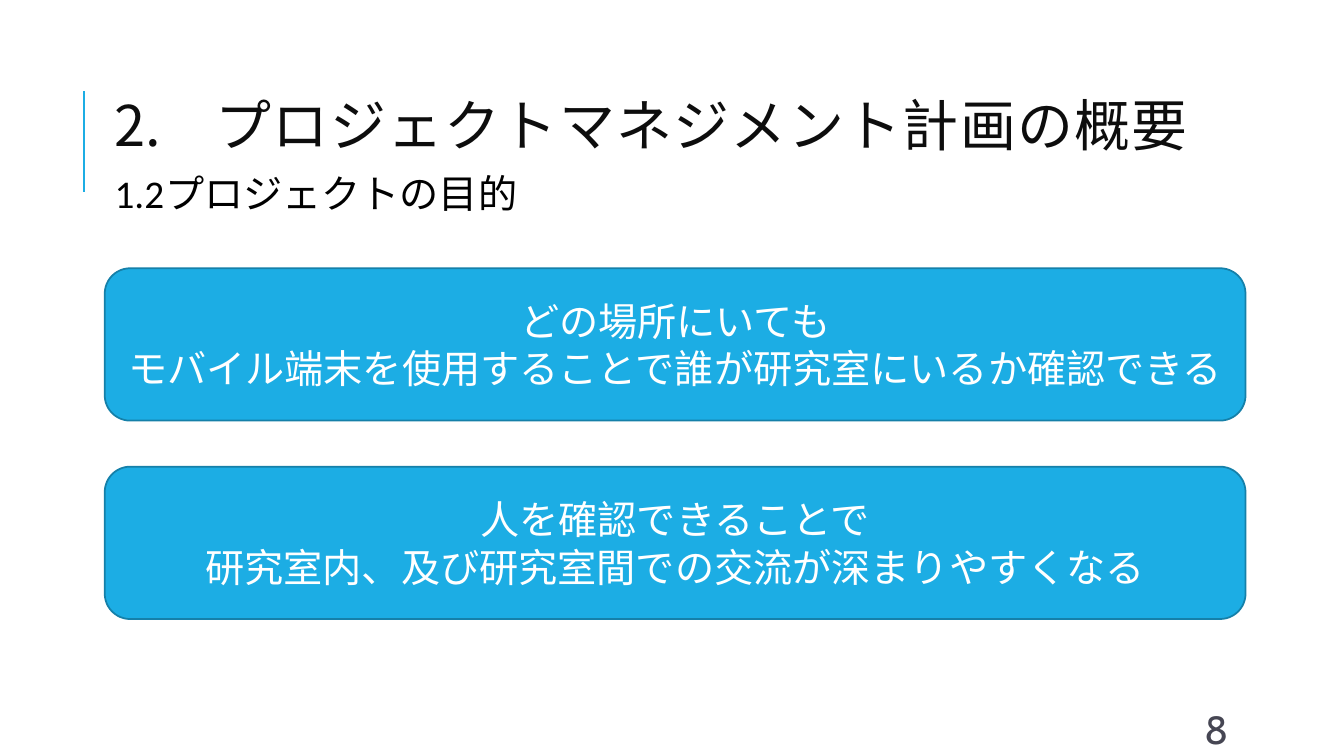
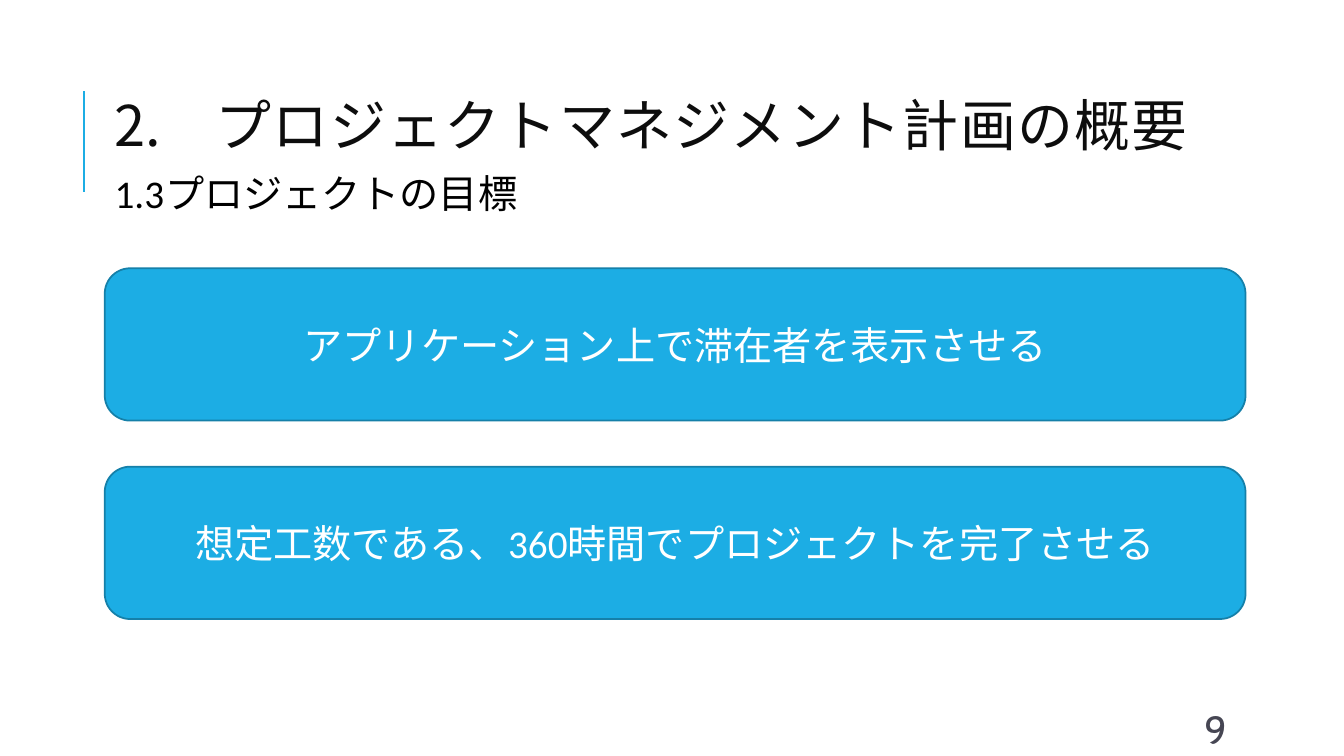
from lxml import etree
from pptx import Presentation
from pptx.dml.color import RGBColor
from pptx.enum.shapes import MSO_CONNECTOR, MSO_SHAPE
from pptx.enum.text import MSO_ANCHOR, MSO_AUTO_SIZE, PP_ALIGN
from pptx.oxml.ns import qn
from pptx.util import Cm, Pt

STRAIGHT = MSO_CONNECTOR.STRAIGHT
ROUNDED = MSO_SHAPE.ROUNDED_RECTANGLE
MIDDLE, TOP = MSO_ANCHOR.MIDDLE, MSO_ANCHOR.TOP
LEFT, CENTER = PP_ALIGN.LEFT, PP_ALIGN.CENTER
NO_AUTOFIT = MSO_AUTO_SIZE.NONE

ACCENT = RGBColor(0x1C, 0xAD, 0xE4)
ACCENT_DARK = RGBColor(0x15, 0x80, 0xA9)
TITLE_INK = RGBColor(0x0D, 0x0D, 0x0D)
NUMBER_INK = RGBColor(0x46, 0x46, 0x53)
BLACK = RGBColor(0, 0, 0)
WHITE = RGBColor(0xFF, 0xFF, 0xFF)

HEADING_FONT, BODY_FONT = "Cabin", "Calibri"
TITLE_SIZE, BODY_SIZE = Pt(40), Pt(28)

MARGIN = Cm(2.64)
TITLE_INDENT = Cm(2.54)
CARD_TOP, CARD_PITCH = Cm(6.76), Cm(5)
CARD_WIDTH, CARD_HEIGHT = Cm(28.75), Cm(3.84)

TITLE = "プロジェクトマネジメント計画の概要"
TITLE_NUMBER = 2
PAGES = [
    (8, "1.2\tプロジェクトの目的", [
        "どの場所にいても\nモバイル端末を使用することで誰が研究室にいるか確認できる",
        "人を確認できることで\n研究室内、及び研究室間での交流が深まりやすくなる",
    ]),
    (9, "1.3\tプロジェクトの目標", [
        "アプリケーション上で滞在者を表示させる",
        "想定工数である、360時間でプロジェクトを完了させる",
    ]),
]


def write(shape, text, font, size, color, align=LEFT, anchor=MIDDLE):
    frame = shape.text_frame
    frame.text = text
    frame.word_wrap = True
    frame.auto_size = NO_AUTOFIT
    frame.vertical_anchor = anchor
    for para in frame.paragraphs:
        para.alignment = align
        for span in para.runs:
            span.font.name = font
            span.font.size = size
            span.font.color.rgb = color


def add_accent_rule(page):
    rule = page.shapes.add_connector(STRAIGHT, Cm(2.11), Cm(4.83), Cm(2.11), Cm(2.29))
    rule.line.color.rgb = ACCENT
    rule.line.width = Pt(1.5)
    etree.SubElement(rule._element.spPr, qn("a:effectLst"))


def set_title(page):
    """Fill the title placeholder as a numbered heading with a hanging indent."""
    title = page.shapes.title
    title.left, title.top, title.width, title.height = MARGIN, Cm(1.63), Cm(31.5), Cm(3.3)
    write(title, TITLE, HEADING_FONT, TITLE_SIZE, TITLE_INK)
    para = title.text_frame.paragraphs[0]
    para.line_spacing = 0.8
    para.runs[0]._r.get_or_add_rPr().set("spc", "100")
    properties = para._p.get_or_add_pPr()
    properties.set("marL", str(TITLE_INDENT))
    properties.set("indent", str(-TITLE_INDENT))
    etree.SubElement(properties, qn("a:buFont"), typeface=HEADING_FONT)
    etree.SubElement(properties, qn("a:buAutoNum"), type="arabicPeriod",
                     startAt=str(TITLE_NUMBER))


def add_subtitle(page, text):
    box = page.shapes.add_textbox(MARGIN, Cm(4.14), Cm(21.34), Cm(1.45))
    write(box, text, BODY_FONT, BODY_SIZE, BLACK, anchor=TOP)


def add_page_number(page, number):
    box = page.shapes.add_textbox(Cm(30.1), Cm(17.98), Cm(2.69), Cm(0.76))
    write(box, str(number), HEADING_FONT, BODY_SIZE, NUMBER_INK)


def add_card(page, top, text):
    card = page.shapes.add_shape(ROUNDED, MARGIN, top, CARD_WIDTH, CARD_HEIGHT)
    card.shadow.inherit = False
    card.fill.solid()
    card.fill.fore_color.rgb = ACCENT
    card.line.color.rgb = ACCENT_DARK
    card.line.width = Pt(1.25)
    write(card, text, BODY_FONT, BODY_SIZE, WHITE, CENTER)


def add_page(deck, number, subtitle, statements):
    page = deck.slides.add_slide(deck.slide_layouts.get_by_name("Title Only"))
    add_accent_rule(page)
    add_page_number(page, number)
    add_subtitle(page, subtitle)
    set_title(page)
    for index, statement in enumerate(statements):
        add_card(page, CARD_TOP + index * CARD_PITCH, statement)


def main():
    deck = Presentation()
    deck.slide_width, deck.slide_height = Cm(33.87), Cm(19.05)
    for number, subtitle, statements in PAGES:
        add_page(deck, number, subtitle, statements)
    deck.save("out.pptx")


if __name__ == "__main__":
    main()
